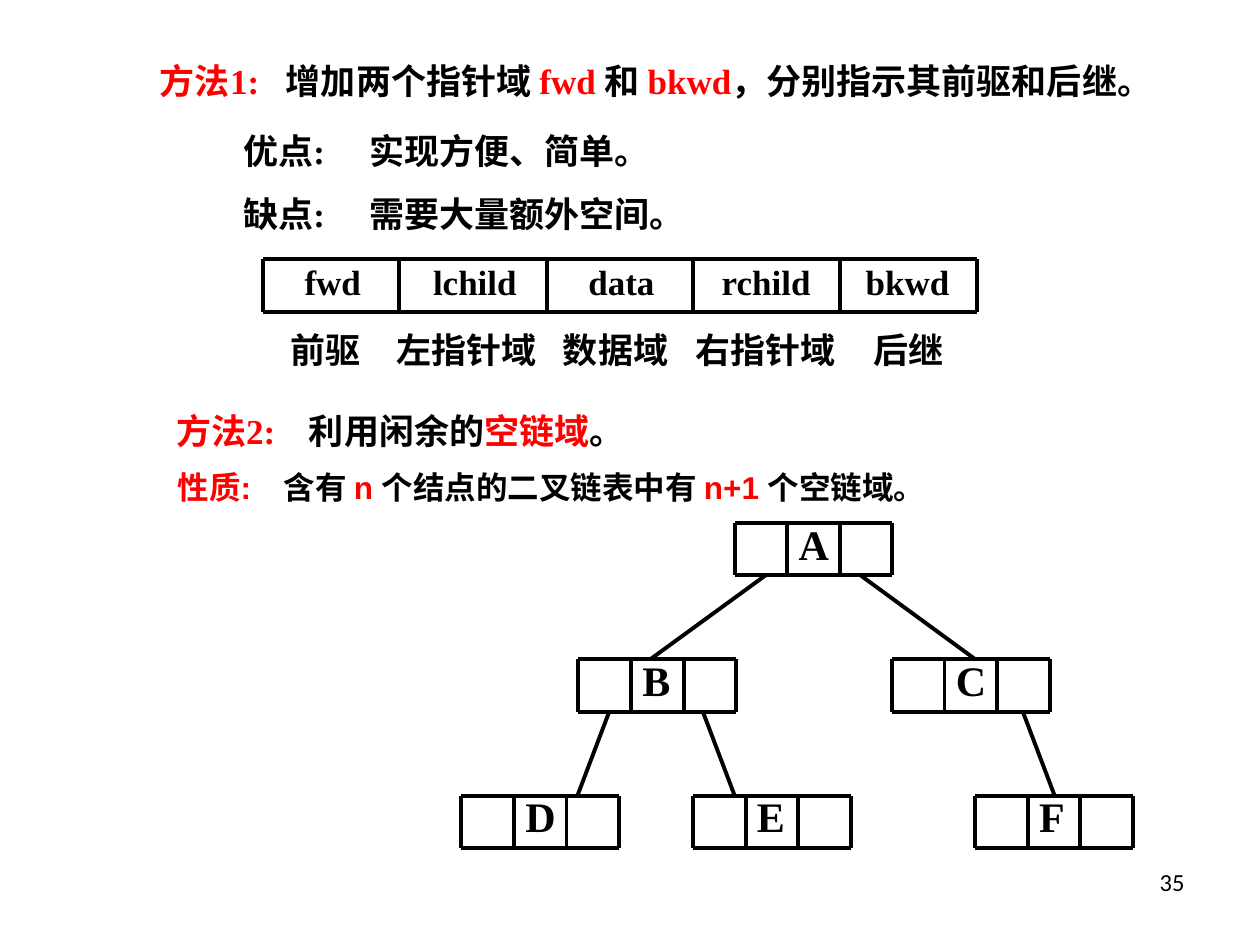
from lxml.etree import SubElement
from pptx import Presentation
from pptx.dml.color import RGBColor
from pptx.enum.shapes import MSO_CONNECTOR
from pptx.enum.text import MSO_ANCHOR, MSO_AUTO_SIZE, PP_ALIGN
from pptx.oxml.ns import qn
from pptx.util import Cm, Pt

COLORS = {"red": "FF0000", "black": "000000"}
SERIF = {"name": "Times New Roman", "size": Pt(20), "bold": True}
NODE = {**SERIF, "size": Pt(24)}
SANS = {"name": "Arial", "size": Pt(18), "bold": True}
NUMBER = {"name": "Calibri", "size": Pt(14), "bold": False}
FRAME = {"word_wrap": True, "auto_size": MSO_AUTO_SIZE.NONE,
         "vertical_anchor": MSO_ANCHOR.TOP}


def write(box, lines, font, align=PP_ALIGN.LEFT, hang=0, sp=None):
    """Fill sp, or a new text box, at box (cm); each line is a list of (text, colour)."""
    sp = sp or s.shapes.add_textbox(0, 0, 0, 0)
    sp.left, sp.top, sp.width, sp.height = map(Cm, box)
    tf = sp.text_frame
    for name, value in FRAME.items():
        setattr(tf, name, value)
    for i, runs in enumerate(lines):
        p = tf.add_paragraph() if i else tf.paragraphs[0]
        p.alignment = align
        p.space_before = Pt(12 if i else 0)
        pPr = p._p.get_or_add_pPr()
        pPr.set("marL", str(int(Cm(hang))))
        pPr.set("indent", str(-int(Cm(hang))))
        SubElement(pPr, qn("a:buNone"))
        for text, color in runs:
            r = p.add_run()
            r.text = text
            for name, value in font.items():
                setattr(r.font, name, value)
            r.font.color.rgb = RGBColor.from_string(COLORS[color])


def add_line(x1, y1, x2, y2):
    line = s.shapes.add_connector(MSO_CONNECTOR.STRAIGHT, *map(Cm, (x1, y1, x2, y2)))
    line.line.color.rgb = RGBColor.from_string(COLORS["black"])
    line.line.width = Pt(2.25)
    SubElement(line._element.spPr, qn("a:effectLst"))


prs = Presentation()
prs.slide_width, prs.slide_height = Cm(25.4), Cm(19.05)
s = prs.slides.add_slide(prs.slide_layouts[1])

# Method 1 with its pros and cons
write((2.97, 1.07, 20.4, 1.12), [[
    ("方法1:\t", "red"), ("增加两个指针域 ", "black"), ("fwd ", "red"),
    ("和 ", "black"), ("bkwd", "red"), ("，分别指示其前驱和后继。", "black"),
]], SERIF, sp=s.shapes.title)
write((4.65, 2.49, 16.3, 2.4), [
    [("优点:\t实现方便、简单。", "black")],
    [("缺点:\t需要大量额外空间。", "black")],
], SERIF, hang=2.54, sp=s.placeholders[1])

# Fields of one record: name and its left, meaning and its left and width
CELL, ROW_TOP = 1.06, 5.23
fields = [("fwd", 5.89, "前驱", 5.61, 5.72),
          ("lchild", 8.48, "左指针域", 7.75, 4.45),
          ("data", 11.61, "数据域", 11.1, 3.61),
          ("rchild", 14.3, "右指针域", 13.77, 5.08),
          ("bkwd", 17.2, "后继", 17.35, 3.81)]
for field, field_x, meaning, meaning_x, width in fields:
    write((field_x, 5.13, 3.9, 1.12), [[(field, "black")]], SERIF)
    write((meaning_x, 6.5, width, 1.12), [[(meaning, "black")]], SERIF)
grids = [([5.31, 8.05, 11.02, 13.97, 16.94, 19.69], ROW_TOP)]

# Method 2, its property and the slide number
write((3.3, 8.13, 12.7, 1.12), [[
    ("方法2:\t", "red"), ("利用闲余的", "black"), ("空链域", "red"), ("。", "black"),
]], SERIF, hang=2.68)
write((3.33, 9.32, 17, 1.02), [[
    ("性质:\t", "red"), ("含有 ", "black"), ("n ", "red"),
    ("个结点的二叉链表中有 ", "black"), ("n+1 ", "red"), ("个空链域。", "black"),
]], SANS, hang=2.14)
write((18.21, 17.35, 5.92, 1.32), [[("35", "black")]], NUMBER, PP_ALIGN.RIGHT)

# Binary tree: each node is left link, letter, right link
TREE_TOP, LEVEL = 10.54, 2.75
nodes = {"A": (14.81, 0), "B": (11.66, 1), "C": (17.98, 1),
         "D": (9.3, 2), "E": (13.97, 2), "F": (19.66, 2)}
for letter, (x, level) in nodes.items():
    top = TREE_TOP + level * LEVEL
    write((x + 1.04, top - 0.22, 2.34, 1.27), [[(letter, "black")]], NODE)
    grids.append(([x + i * CELL for i in range(4)], top))

# Rules of the record and of every node
for edges, top in grids:
    for y in (top, top + CELL):
        add_line(edges[0], y, edges[-1], y)
    for x in edges:
        add_line(x, top, x, top + CELL)

# Parent, child, and how far along each node the branch meets it
branches = [("A", "B", 0.62, 1.45), ("A", "C", 2.54, 1.68), ("B", "D", 0.62, 2.34),
            ("B", "E", 2.51, 0.84), ("C", "F", 2.64, 1.6)]
for parent, child, start, end in branches:
    (px, p_level), (cx, c_level) = nodes[parent], nodes[child]
    add_line(px + start, TREE_TOP + p_level * LEVEL + CELL,
             cx + end, TREE_TOP + c_level * LEVEL)

prs.save("out.pptx")
